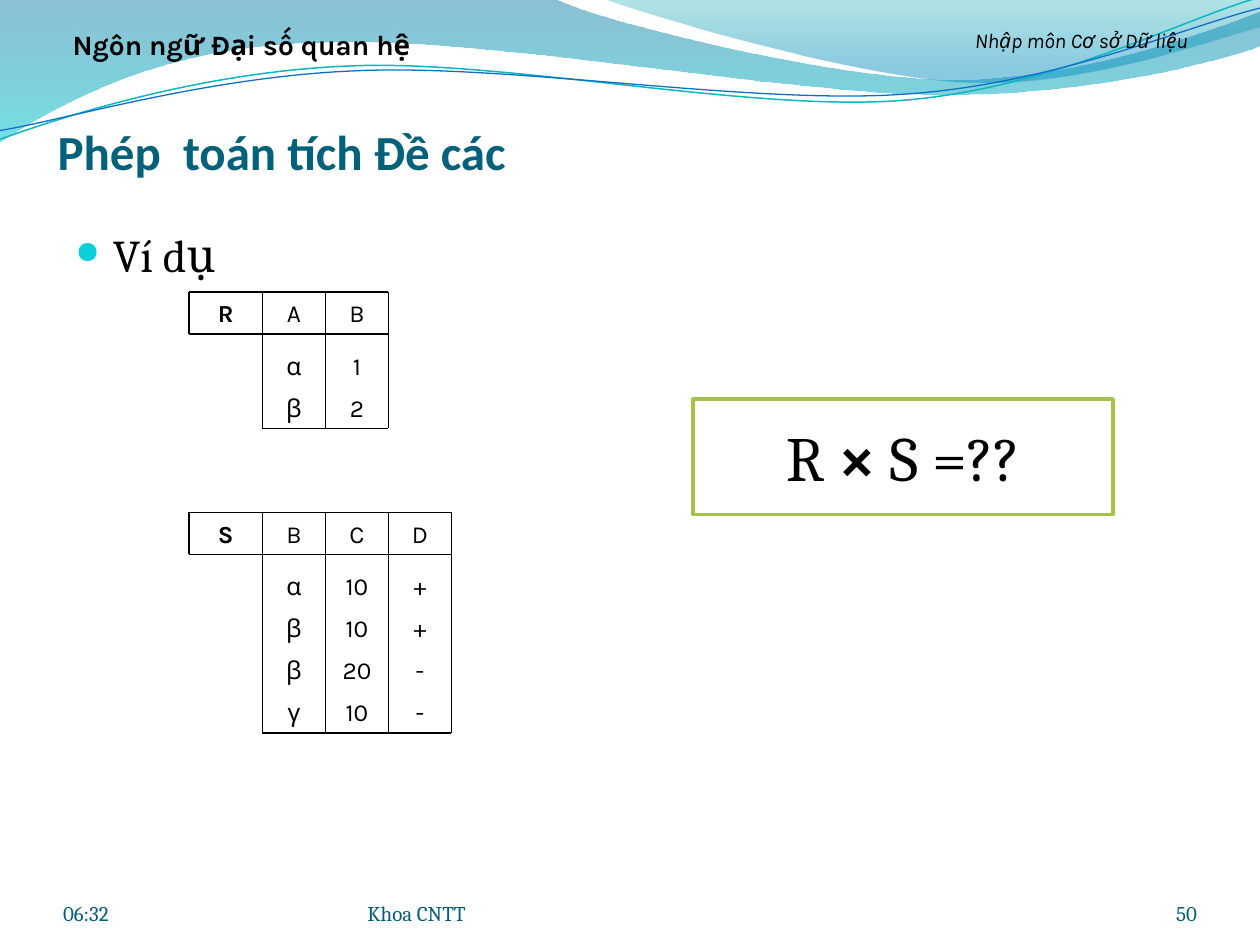
from lxml.etree import SubElement
from pptx import Presentation
from pptx.dml.color import RGBColor
from pptx.enum.shapes import MSO_CONNECTOR, MSO_SHAPE
from pptx.enum.text import MSO_ANCHOR, MSO_AUTO_SIZE, PP_ALIGN
from pptx.oxml.ns import qn
from pptx.util import Inches, Pt

COLORS = {
    "black": "000000", "white": "FFFFFF", "title": "04617B", "footer": "045D75",
    "bullet": "0BD0D9", "frame": "A5C249", "teal": "0AB8BF", "blue": "0F6FC6",
    "deep": "0074A1", "aqua": "00C6CF", "sea": "00A1A9", "sky": "008BBF",
}
COLUMNS, ROWS = 120, 90
LABEL_WIDTH, CELL_WIDTH, CELL_HEIGHT, BODY_GAP = 7, 6, 4, 1
STRAND_TILT = 357.3

BROAD_WAVE = [
    [(0, -0.01)], [(4.4, -0.01)],
    [(4.76, 0.17), (6.64, 0.63), (7.58, 0.63)],
    [(8.53, 0.63), (9.58, 0.26), (10, 0.09)], [(10.01, 0.36)],
    [(9.83, 0.44), (8.7, 0.76), (7.46, 0.75)],
    [(6.22, 0.75), (3.82, 0.28), (2.57, 0.34)],
    [(1.29, 0.35), (0.46, 0.83), (-0.01, 1.13)], [(0, -0.01)],
]
RIGHT_WAVE = [
    [(4.79, -0.01)],
    [(5.09, 0.11), (6.82, 0.62), (7.69, 0.65)],
    [(8.56, 0.69), (9.61, 0.32), (10, 0.21)], [(10, 0)], [(4.79, -0.01)],
]
TEAL_STRAND = [
    [(-0.02, 0.87)],
    [(0.47, 0.72), (1.58, 0.41), (2.78, 0.42)],
    [(3.96, 0.42), (5.91, 0.93), (7.12, 0.9)],
    [(8.32, 0.87), (9.4, 0.36), (10, 0.22)],
]
BLUE_STRAND = [
    [(-0.02, 0.8)],
    [(0.46, 0.75), (1.64, 0.45), (2.83, 0.46)],
    [(4.03, 0.46), (5.96, 0.88), (7.16, 0.85)],
    [(8.35, 0.83), (9.42, 0.42), (10.02, 0.3)],
]


def color(name):
    return RGBColor.from_string(COLORS[name])


def grid(*units):
    return [Inches(10 * unit / COLUMNS) for unit in units]


def add_span(para, text, font, size, tint="black", bold=False, italic=False):
    span = para.add_run()
    span.text = text
    span.font.name = font
    span.font.size = Pt(size)
    span.font.bold = bold
    span.font.italic = italic
    span.font.color.rgb = color(tint)


def add_label(shapes, box, text, font, size, align=PP_ALIGN.CENTER, **style):
    label = shapes.add_textbox(*grid(*box))
    frame = label.text_frame
    frame.word_wrap = True
    para = frame.paragraphs[0]
    para.alignment = align
    add_span(para, text, font, size, **style)
    return label


def add_rule(shapes, start, end):
    rule = shapes.add_connector(MSO_CONNECTOR.STRAIGHT, *grid(*start, *end))
    rule.line.color.rgb = color("black")
    rule.line.width = Pt(1)
    SubElement(rule.element.spPr, qn("a:effectLst"))


def add_outline(shapes, segments, close):
    start, *anchors = [[Inches(value) for value in segment[-1]] for segment in segments]
    builder = shapes.build_freeform(*start)
    builder.add_line_segments(anchors, close=close)
    outline = builder.convert_to_shape()
    outline.shadow.inherit = False
    strokes = list(outline.element.spPr.iter(qn("a:lnTo")))
    for stroke, segment in zip(strokes, segments[1:]):
        if len(segment) == 3:
            stroke.tag = qn("a:cubicBezTo")
            for index, (x, y) in enumerate(segment[:2]):
                handle = SubElement(stroke, qn("a:pt"))
                handle.set("x", str(Inches(x) - outline.left))
                handle.set("y", str(Inches(y) - outline.top))
                stroke.insert(index, handle)
    return outline


def add_wave(shapes, segments, stops):
    wave = add_outline(shapes, segments, True)
    wave.line.fill.background()
    wave.fill.gradient()
    wave.fill.gradient_angle = 270
    for stop, (position, tint, _) in zip(wave.fill.gradient_stops, stops):
        stop.position = position
        stop.color.rgb = color(tint)
    for tone, (_, _, opacity) in zip(wave.element.spPr.iter(qn("a:srgbClr")), stops):
        SubElement(tone, qn("a:alpha"), val=str(opacity * 1000))


def add_strand(shapes, segments, tint, width):
    strand = add_outline(shapes, segments, False)
    strand.rotation = STRAND_TILT
    strand.fill.background()
    strand.line.color.rgb = color(tint)
    strand.line.width = Pt(width)


def add_waves(page):
    add_wave(page.shapes, BROAD_WAVE, [(0, "deep", 45), (1, "aqua", 55)])
    add_wave(page.shapes, RIGHT_WAVE, [(0, "sea", 30), (0.8, "sky", 45)])
    strands = page.shapes.add_group_shape().shapes
    add_strand(strands, TEAL_STRAND, "teal", 0.85)
    add_strand(strands, BLUE_STRAND, "blue", 0.75)


def add_title(page, box):
    title = page.shapes.title
    page.shapes.element.append(title.element)
    title.left, title.top, title.width, title.height = grid(*box)
    frame = title.text_frame
    frame.margin_left = frame.margin_right = frame.margin_bottom = 0
    frame.margin_top = Inches(0.05)
    frame.vertical_anchor = MSO_ANCHOR.BOTTOM
    para = frame.paragraphs[0]
    para.alignment = PP_ALIGN.LEFT
    add_span(para, "Phép  toán tích Đề các", "Calibri", 28, "title", bold=True)


def add_body(page, box):
    body = add_label(page.shapes, box, "Ví dụ", "Cambria", 26, PP_ALIGN.LEFT)
    settings = body.text_frame.paragraphs[0]._p.get_or_add_pPr()
    settings.set("marL", str(Inches(0.3)))
    settings.set("indent", str(-Inches(0.3)))
    tint = SubElement(settings, qn("a:buClr"))
    SubElement(tint, qn("a:srgbClr"), val=COLORS["bullet"])
    SubElement(settings, qn("a:buSzPct"), val="68000")
    SubElement(settings, qn("a:buChar"), char="●")


def add_relation(page, left, top, name, fields, records):
    shapes = page.shapes.add_group_shape().shapes
    inner = left + LABEL_WIDTH
    right = inner + CELL_WIDTH * len(fields)
    header_end = top + CELL_HEIGHT
    body_top = header_end + BODY_GAP
    bottom = body_top + CELL_HEIGHT * len(records)

    def add_cell(x, y, width, text, bold=False):
        cell = add_label(shapes, (x, y, width, CELL_HEIGHT), text, "Karla", 14, bold=bold)
        cell.text_frame.auto_size = MSO_AUTO_SIZE.SHAPE_TO_FIT_TEXT

    add_cell(left, top, LABEL_WIDTH, name, bold=True)
    tops = [top] + [body_top + CELL_HEIGHT * row for row in range(len(records))]
    for y, values in zip(tops, [fields, *records]):
        for column, value in enumerate(values):
            add_cell(inner + CELL_WIDTH * column, y, CELL_WIDTH, value)
    for start, y in ((left, top), (left, header_end), (inner, bottom)):
        add_rule(shapes, (start, y), (right, y))
    add_rule(shapes, (left, top), (left, header_end))
    for column in range(len(fields) + 1):
        x = inner + CELL_WIDTH * column
        add_rule(shapes, (x, top), (x, bottom))


def add_question(page, box):
    question = page.shapes.add_shape(MSO_SHAPE.RECTANGLE, *grid(*box))
    question.shadow.inherit = False
    question.fill.solid()
    question.fill.fore_color.rgb = color("white")
    question.line.color.rgb = color("frame")
    question.line.width = Pt(2)
    question.text_frame.vertical_anchor = MSO_ANCHOR.MIDDLE
    para = question.text_frame.paragraphs[0]
    para.alignment = PP_ALIGN.CENTER
    for text, bold in (("R", False), (" ×", True), (" S =??", False)):
        add_span(para, text, "Cambria", 36, bold=bold)


def add_header(page, top):
    shapes = page.shapes.add_group_shape().shapes
    course = add_label(shapes, (86, top, 34, 4.5), "Nhập môn Cơ sở Dữ liệu", "Karla", 12, italic=True)
    chapter = add_label(shapes, (3, top, 40, 4.4), "Ngôn ngữ Đại số quan hệ", "Karla", 16, bold=True)
    for label in (course, chapter):
        label.text_frame.auto_size = MSO_AUTO_SIZE.SHAPE_TO_FIT_TEXT


def add_footer(page, top, height):
    parts = (
        (6, 28, "06:32", PP_ALIGN.LEFT),
        (35, 44, "Khoa CNTT", PP_ALIGN.LEFT),
        (104, 10, "50", PP_ALIGN.RIGHT),
    )
    for left, width, text, align in parts:
        label = add_label(page.shapes, (left, top, width, height), text, "Cambria", 12, align, tint="footer")
        frame = label.text_frame
        frame.margin_left = frame.margin_right = frame.margin_top = frame.margin_bottom = 0
        frame.vertical_anchor = MSO_ANCHOR.BOTTOM


def main():
    deck = Presentation()
    deck.slide_width, deck.slide_height = grid(COLUMNS, ROWS)
    page = deck.slides.add_slide(deck.slide_layouts[5])
    add_waves(page)
    add_title(page, (5.5, 9, 108, 8.2))
    add_body(page, (6, 21, 108, 63.5))
    add_footer(page, 83.4, 4.8)
    add_relation(page, 18, 27.8, "R", "AB", ["α1", "β2"])
    add_relation(page, 18, 48.8, "S", "BCD", [
        ("α", "10", "+"), ("β", "10", "+"), ("β", "20", "-"), ("γ", "10", "-"),
    ])
    add_question(page, (66, 38, 40, 11))
    add_header(page, 2)
    deck.save("out.pptx")


if __name__ == "__main__":
    main()
